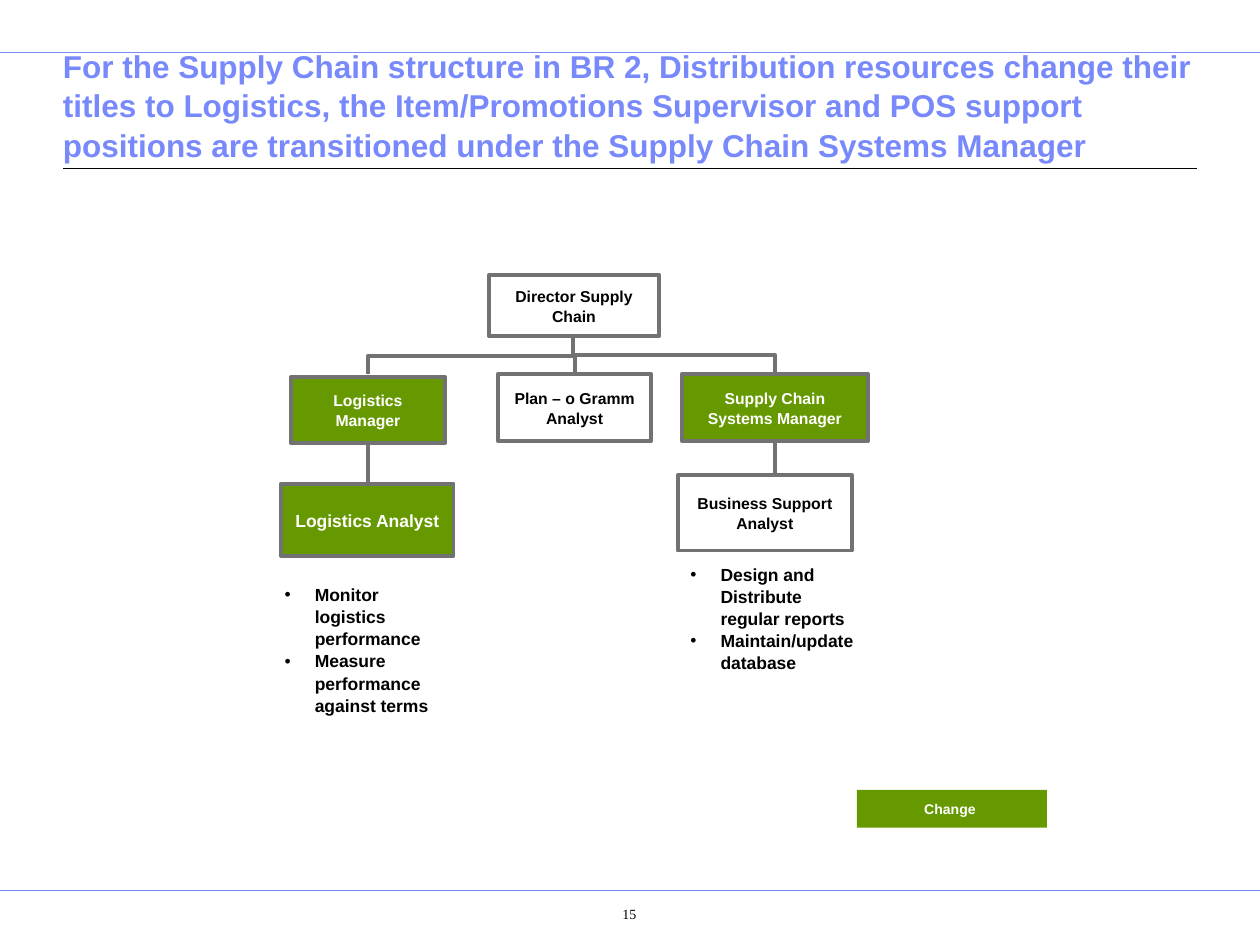
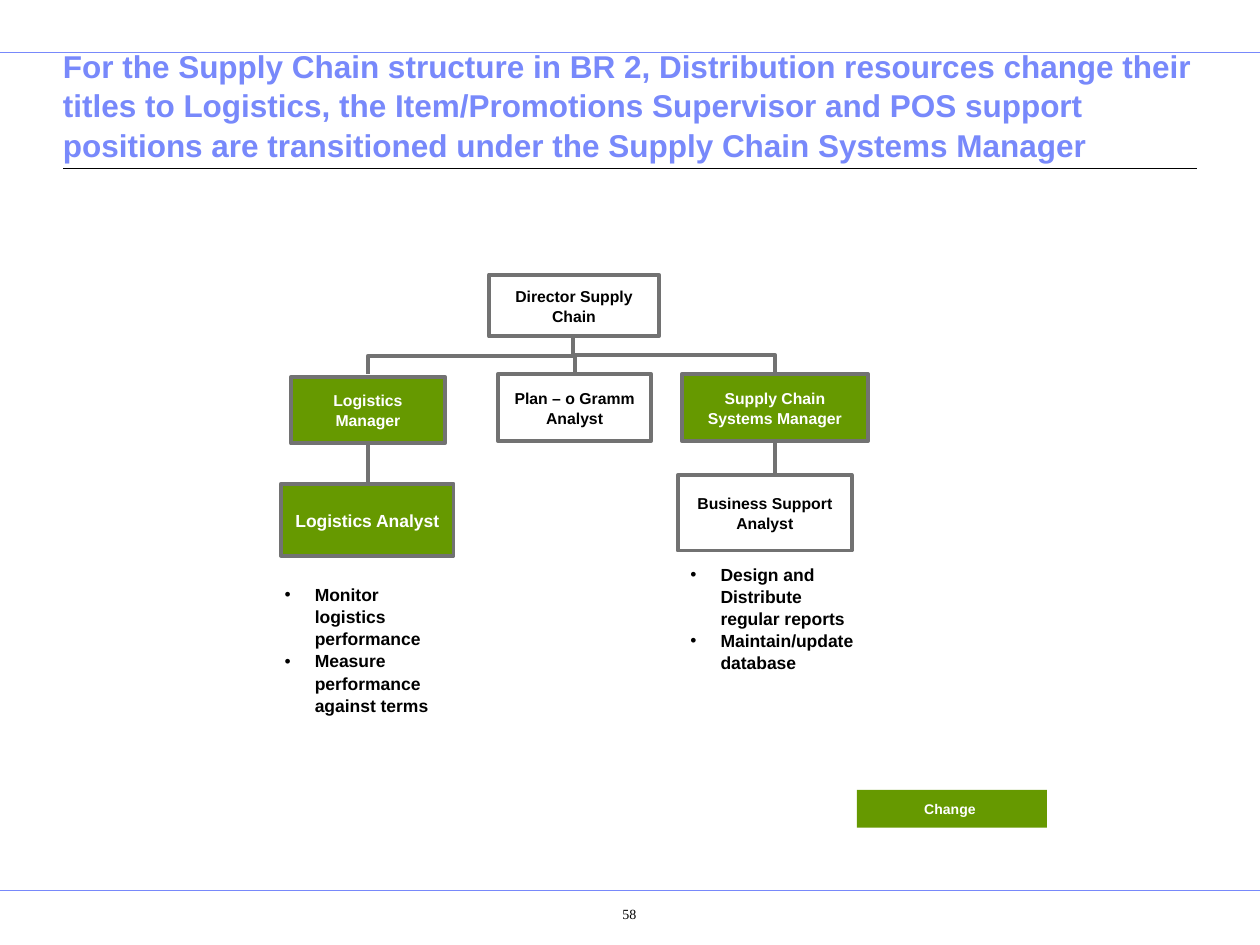
from lxml import etree
from pptx import Presentation
from pptx.dml.color import RGBColor
from pptx.enum.shapes import MSO_CONNECTOR, MSO_SHAPE
from pptx.enum.text import MSO_ANCHOR, PP_ALIGN
from pptx.oxml.ns import qn
from pptx.util import Inches, Pt

RECT = MSO_SHAPE.RECTANGLE
LINE, ELBOW = MSO_CONNECTOR.STRAIGHT, MSO_CONNECTOR.ELBOW
TOP, MID, LOW = MSO_ANCHOR.TOP, MSO_ANCHOR.MIDDLE, MSO_ANCHOR.BOTTOM
LEFT, MIDST = PP_ALIGN.LEFT, PP_ALIGN.CENTER

BLUE, GREEN, GREY = "7889FB", "669900", "727272"
BLACK, WHITE = "000000", "FFFFFF"
SANS, SERIF = "Arial", "Times New Roman"

deck = Presentation()
deck.slide_width, deck.slide_height = Inches(10), Inches(7.5)
COL = deck.slide_width / 100
ROW = deck.slide_height / 75
HANG = int(2.4 * COL)

TITLE = (
    "For the Supply Chain structure in BR 2, Distribution resources change their "
    "titles to Logistics, the Item/Promotions Supervisor and POS support "
    "positions are transitioned under the Supply Chain Systems Manager"
)
RULES = [(0, 100, 4.2, BLUE, 0.5), (0, 100, 70.7, BLUE, 0.5), (5, 95, 13.4, BLACK, 0.75)]
BOXES = [
    ("Director Supply Chain", 38.8, 21.8, 13.5, 4.9, None, 9),
    ("Logistics Analyst", 22.3, 38.4, 13.7, 5.7, GREEN, 10),
    ("Logistics Manager", 23.1, 29.9, 12.2, 5.3, GREEN, 9),
    ("Plan – o Gramm Analyst", 39.5, 29.7, 12.2, 5.3, None, 9),
    ("Supply Chain Systems Manager", 54.1, 29.7, 14.8, 5.3, GREEN, 9),
    ("Business Support Analyst", 53.8, 37.7, 13.8, 6, None, 9),
    ("Change ", 68, 62.7, 15.1, 3, GREEN, 8),
]
HUB, BASE = 45.5, 26.8
TREE = [(61.5, 29.5), (45.6, 29.5), (29.2, 29.7)]
STEMS = [(29.2, 35.3, 38.3), (61.5, 35.1, 37.6)]
TASKS = [
    (53.8, 44.2, ["Design and Distribute regular reports", "Maintain/update database"]),
    (21.6, 45.8, ["Monitor logistics performance", "Measure performance against terms"]),
]


def hue(code):
    return RGBColor.from_string(code)


def write(shape, lines, size, ink, side=LEFT, hold=TOP, face=SANS, bold=True, mark=False):
    frame = shape.text_frame
    frame.word_wrap = True
    frame.vertical_anchor = hold
    for i, line in enumerate(lines):
        para = frame.paragraphs[0] if i == 0 else frame.add_paragraph()
        para.alignment = side
        para.line_spacing = 1.05
        if mark:
            props = para._p.get_or_add_pPr()
            props.set("marL", str(HANG))
            props.set("indent", str(-HANG))
            etree.SubElement(props, qn("a:buFont")).set("typeface", SANS)
            etree.SubElement(props, qn("a:buChar")).set("char", "•")
        run = para.add_run()
        run.text = line
        run.font.name, run.font.size, run.font.bold = face, Pt(size), bold
        run.font.color.rgb = hue(ink)
    return frame


for page in ("15", "58"):
    slide = deck.slides.add_slide(deck.slide_layouts[6])
    shapes = slide.shapes

    wires = []
    for x, end, y, tint, thick in RULES:
        wires.append((LINE, x, y, end, y, tint, thick))
    for x, y, end in STEMS:
        wires.append((LINE, x, y, x, end, GREY, 2.25))
    for x, y in TREE:
        midx, midy = (HUB + x) / 2, (BASE + y) / 2
        drop, span = (y - BASE) / 2, (HUB - x) / 2
        wires.append((ELBOW, midx - drop, midy - span, midx + drop, midy + span, GREY, 2.25))
    for kind, x, y, endx, endy, tint, thick in wires:
        wire = shapes.add_connector(
            kind, int(x * COL), int(y * ROW), int(endx * COL), int(endy * ROW))
        wire.line.color.rgb = hue(tint)
        wire.line.width = Pt(thick)
        props = wire._element.spPr
        etree.SubElement(props, qn("a:effectLst"))
        if kind == ELBOW:
            props.find(qn("a:xfrm")).set("rot", str(90 * 60000))

    head = shapes.add_textbox(int(5 * COL), int(7.2 * ROW), int(90 * COL), int(6.3 * ROW))
    frame = write(head, [TITLE], 18, BLUE, hold=LOW)
    frame.margin_left = frame.margin_right = 0

    for label, x, y, wide, high, fill, size in BOXES:
        box = shapes.add_shape(
            RECT, int(x * COL), int(y * ROW), int(wide * COL), int(high * ROW))
        box.shadow.inherit = False
        if fill:
            box.fill.solid()
            box.fill.fore_color.rgb = hue(fill)
        else:
            box.fill.background()
        if label == "Change ":
            box.line.fill.background()
        else:
            box.line.color.rgb = hue(GREY)
            box.line.width = Pt(2.25)
        write(box, [label], size, WHITE if fill else BLACK, MIDST, MID)

    for x, y, lines in TASKS:
        note = shapes.add_textbox(int(x * COL), int(y * ROW), int(15.1 * COL), int(9.4 * ROW))
        write(note, lines, 10, BLACK, mark=True)

    foot = shapes.add_textbox(int(42.7 * COL), int(71.1 * ROW), int(11.5 * COL), int(3.5 * ROW))
    frame = write(foot, [page], 8, BLACK, MIDST, face=SERIF, bold=False)
    frame.margin_left = int(4 * COL)
    frame.margin_top = int(0.7 * ROW)

deck.save("out.pptx")
